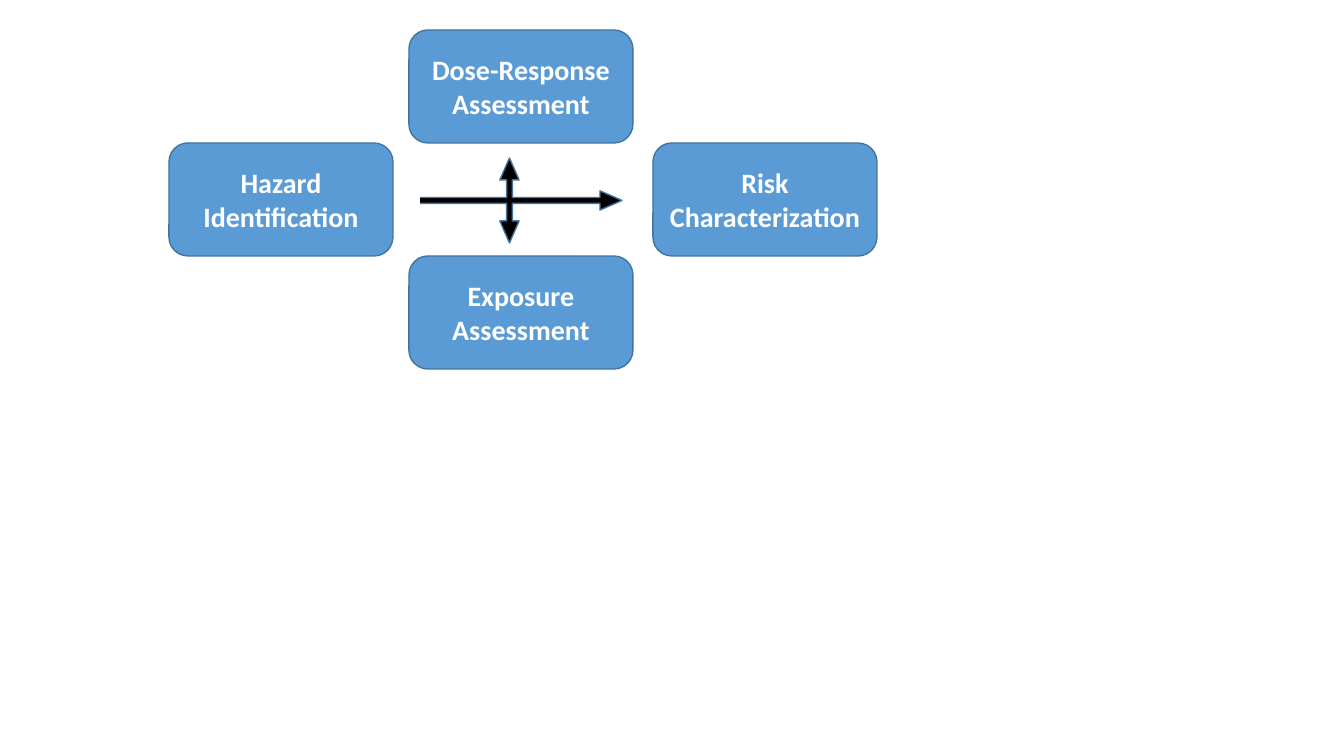
from pptx import Presentation
from pptx.dml.color import RGBColor
from pptx.enum.shapes import MSO_SHAPE as Shape
from pptx.enum.text import MSO_ANCHOR as Anchor, PP_ALIGN as Align
from pptx.util import Pt

EMU_PER_PIXEL = 914400 / 100.8
BLUE, BORDER, BLACK, WHITE = "5B9BD5", "43739E", "000000", "FFFFFF"
BOX_WIDTH, BOX_HEIGHT = 224, 113
TOP = 30
STEPS = [  # left edge, row, paragraphs
    (409, 0, ["Dose-Response", "Assessment"]),
    (409, 2, ["Exposure", "Assessment"]),
    (653, 1, ["Risk", "Characterization"]),
    (169, 1, ["Hazard Identification"]),
]


def px(pixels):
    """Turn pixels into EMU."""
    return round(pixels * EMU_PER_PIXEL)


def color(value):
    """Turn a hex string into a colour."""
    return RGBColor.from_string(value)


def set_all(target, values):
    """Set each attribute named in a dict."""
    for name, value in values.items():
        setattr(target, name, value)


def add_figure(shapes, kind, area, fill, line=None):
    """Add a filled preset shape, outlined if a line colour is given."""
    figure = shapes.add_shape(kind, *map(px, area))
    figure.shadow.inherit = False
    figure.fill.solid()
    figure.fill.fore_color.rgb = color(fill)
    if line:
        figure.line.color.rgb = color(line)
        figure.line.width = Pt(1)
    else:
        figure.line.fill.background()
    return figure


def add_step(shapes, left, row, texts):
    """Add a rounded box with a bold centred label."""
    area = (left, TOP + row * BOX_HEIGHT, BOX_WIDTH, BOX_HEIGHT)
    box = add_figure(shapes, Shape.ROUNDED_RECTANGLE, area, BLUE, BORDER)
    frame = box.text_frame
    set_all(frame, {"word_wrap": True, "vertical_anchor": Anchor.MIDDLE})
    frame.text = "\n".join(texts)
    for para in frame.paragraphs:
        para.alignment = Align.CENTER
        for span in para.runs:
            set_all(span.font, {"name": "Calibri", "size": Pt(20), "bold": True})
            span.font.color.rgb = color(WHITE)


def add_three_way_arrow(shapes):
    """Add a four-way arrow whose left head is covered in white."""
    group = shapes.add_group_shape()
    arrow = add_figure(group.shapes, Shape.QUAD_ARROW, (397, 158, 225, 85), BLACK, BORDER)
    for index, value in enumerate((0.068, 0.113, 0.259)):
        arrow.adjustments[index] = value
    add_figure(group.shapes, Shape.RECTANGLE, (381, 172, 39, 56), WHITE)


def main():
    """Build the risk assessment slide."""
    deck = Presentation()
    set_all(deck, {"slide_width": px(1344), "slide_height": px(756)})
    page = deck.slides.add_slide(deck.slide_layouts[6])
    *others, hazard = STEPS
    for step in others:
        add_step(page.shapes, *step)
    add_three_way_arrow(page.shapes)
    add_step(page.shapes, *hazard)
    deck.save("out.pptx")


main()
